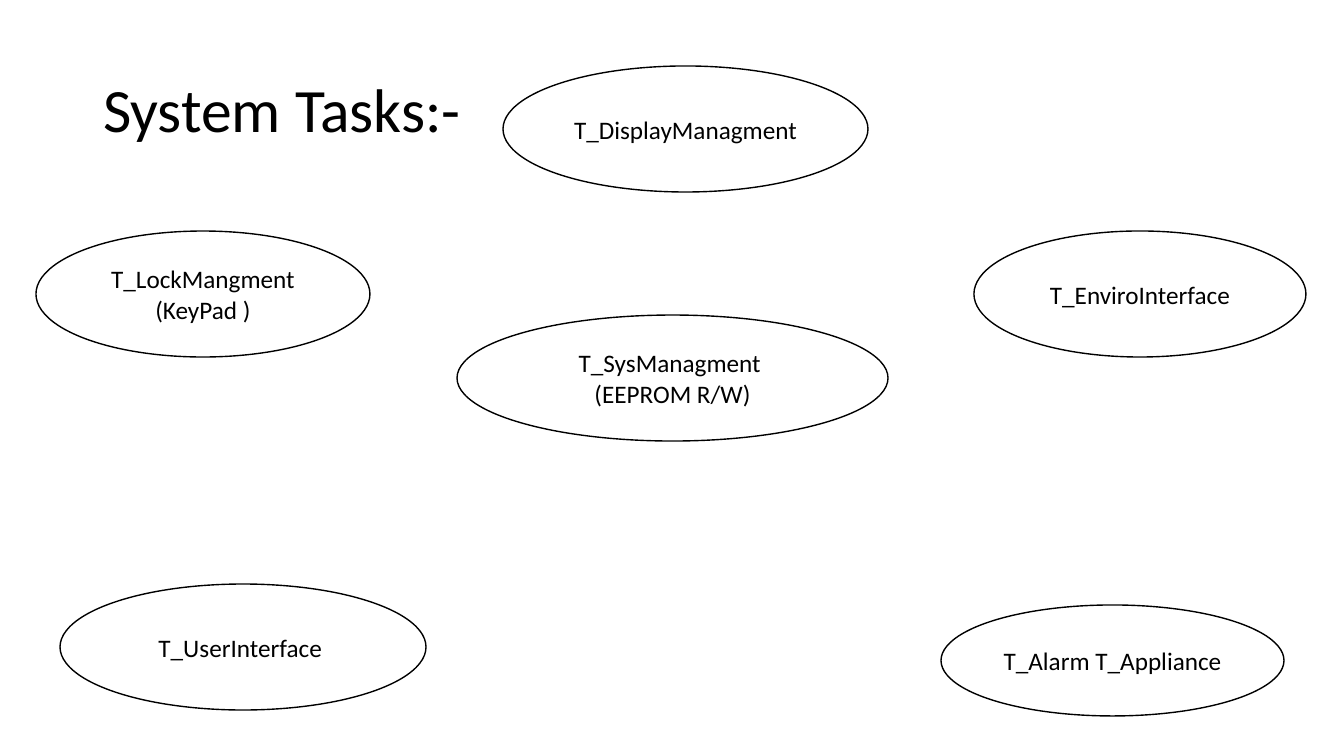
from dataclasses import dataclass

from pptx import Presentation
from pptx.dml.color import RGBColor
from pptx.enum.shapes import MSO_SHAPE as Shape
from pptx.enum.text import MSO_ANCHOR as Anchor, MSO_AUTO_SIZE as AutoSize, PP_ALIGN as Align
from pptx.util import Emu, Pt


@dataclass(frozen=True)
class Theme:
    font: str = "Calibri"
    ink: RGBColor = RGBColor(0, 0, 0)
    paper: RGBColor = RGBColor(255, 255, 255)
    title_size: int = 44
    task_size: int = 18
    outline: int = 1


THEME = Theme()
EMU_PER_PIXEL = 914400 / 100.8
SLIDE_SIZE = (1344, 756)
TITLE_BOX = (93, 40, 1159, 146)

# Each task: its lines of text and its left, top, width, height
TASKS = [
    (["T_SysManagment ", "(EEPROM R/W)"], (457, 315, 431, 126)),
    (["T_DisplayManagment"], (503, 66, 365, 126)),
    (["T_UserInterface "], (60, 584, 366, 126)),
    (["T_EnviroInterface"], (974, 231, 332, 126)),
    (["T_LockMangment", "(KeyPad )"], (36, 231, 334, 126)),
    (["T_Alarm T_Appliance"], (941, 605, 343, 111)),
]


def px(length):
    return Emu(round(length * EMU_PER_PIXEL))


def write_text(shape, lines, size, align, spacing=1.0):
    frame = shape.text_frame
    frame.text = "\n".join(lines)
    frame.word_wrap = True
    frame.auto_size = AutoSize.NONE
    frame.vertical_anchor = Anchor.MIDDLE
    for para in frame.paragraphs:
        para.alignment = align
        para.line_spacing = spacing
        for span in para.runs:
            span.font.name = THEME.font
            span.font.size = Pt(size)
            span.font.color.rgb = THEME.ink


def place_title(page, box):
    title = page.shapes.title
    title.left, title.top, title.width, title.height = map(px, box)
    write_text(title, ["System Tasks:-"], THEME.title_size, Align.LEFT, 0.9)


def add_task(page, lines, box):
    bubble = page.shapes.add_shape(Shape.OVAL, *map(px, box))
    bubble.shadow.inherit = False
    bubble.fill.solid()
    bubble.fill.fore_color.rgb = THEME.paper
    bubble.line.color.rgb = THEME.ink
    bubble.line.width = Pt(THEME.outline)
    write_text(bubble, lines, THEME.task_size, Align.CENTER)


def build_tasks_page(deck):
    page = deck.slides.add_slide(deck.slide_layouts[5])  # title only
    place_title(page, TITLE_BOX)
    for lines, box in TASKS:
        add_task(page, lines, box)


deck = Presentation()
deck.slide_width, deck.slide_height = map(px, SLIDE_SIZE)
build_tasks_page(deck)
deck.save("out.pptx")
